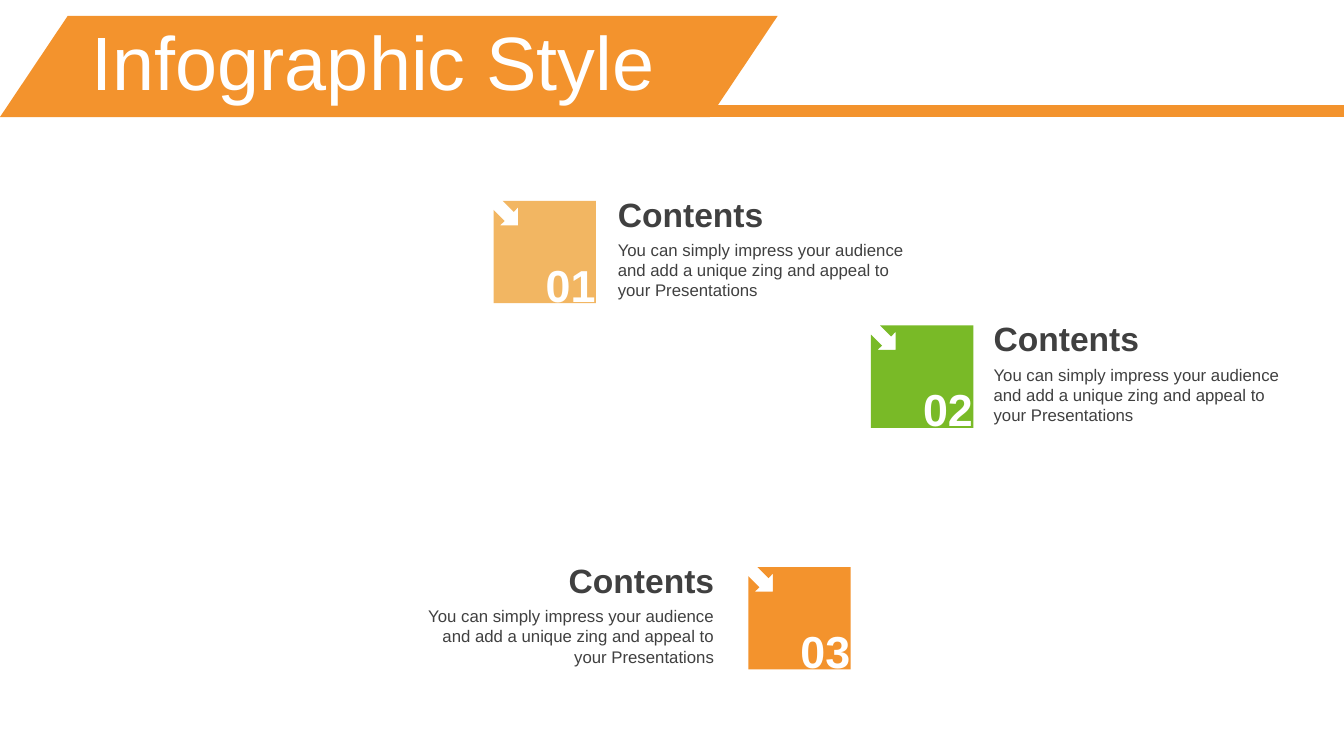
import pptx
import pptx.dml.color
import pptx.enum.shapes
import pptx.enum.text
import pptx.util

Cm = pptx.util.Cm
ALIGN = pptx.enum.text.PP_ALIGN
ANCHOR = pptx.enum.text.MSO_ANCHOR
SHAPES = pptx.enum.shapes.MSO_SHAPE

COLORS = {"orange": "F3932D", "sand": "F2B662", "green": "79BA27",
          "text": "404040", "white": "FFFFFF"}
FONT = "Arial"
TITLE = "Infographic Style"
HEADING = "Contents"
BODY = ("You can simply impress your audience and add a unique zing "
        "and appeal to your Presentations")

# number, colour, tile left, tile top, text left, text alignment (lengths in cm)
ITEMS = [
    ("01", "sand", 12.44, 5.06, 15.57, ALIGN.LEFT),
    ("02", "green", 21.95, 8.2, 25.04, ALIGN.LEFT),
    ("03", "orange", 18.86, 14.29, 10.39, ALIGN.RIGHT),
]
TILE = 2.58
TEXT_WIDTH = 7.86
# tile outline with an arrow cut into its top left corner
TILE_OUTLINE = [(0.23, 0), (TILE, 0), (TILE, TILE), (0, TILE), (0, 0.23),
                (0.28, 0.51), (0.16, 0.62), (0.62, 0.62), (0.62, 0.16), (0.51, 0.28)]
TEXT_INSETS = (0, 0.13, 0.25, 0.13)


def rgb(name):
    return pptx.dml.color.RGBColor.from_string(COLORS[name])


def paint(shape, color):
    shape.shadow.inherit = False
    shape.fill.solid()
    shape.fill.fore_color.rgb = rgb(color)
    shape.line.fill.background()


def write(shape, text, size, color, bold=False, align=ALIGN.LEFT, anchor=ANCHOR.MIDDLE):
    frame = shape.text_frame
    frame.text = text
    frame.word_wrap = True
    frame.auto_size = pptx.enum.text.MSO_AUTO_SIZE.NONE
    frame.vertical_anchor = anchor
    paragraph = frame.paragraphs[0]
    paragraph.alignment = align
    font = paragraph.runs[0].font
    font.name, font.size, font.bold = FONT, pptx.util.Pt(size), bold
    font.color.rgb = rgb(color)


def add_text(slide, box, insets, *args, **style):
    shape = slide.shapes.add_textbox(*map(Cm, box))
    frame = shape.text_frame
    (frame.margin_left, frame.margin_top,
     frame.margin_right, frame.margin_bottom) = map(Cm, insets)
    write(shape, *args, **style)


def add_banner(slide):
    bar = slide.shapes.add_shape(SHAPES.RECTANGLE, Cm(16.93), Cm(2.65), Cm(16.94), Cm(0.3))
    flag = slide.shapes.add_shape(SHAPES.PARALLELOGRAM, 0, Cm(0.4), Cm(19.6), Cm(2.55))
    flag.adjustments[0] = 0.67
    for shape in (bar, flag):
        paint(shape, "orange")


def add_title(slide):
    title = slide.shapes.title
    title.left, title.top, title.width, title.height = map(Cm, (2.06, 0.66, 31.09, 2.01))
    write(title, TITLE, 54, "white")
    title.text_frame.paragraphs[0].line_spacing = 0.9
    # bring the title in front of the banner
    slide.shapes.element.append(title.element)


def add_tile(slide, number, color, left, top):
    points = [(Cm(x), Cm(y)) for x, y in TILE_OUTLINE]
    builder = slide.shapes.build_freeform(*points[0])
    builder.add_line_segments(points[1:], close=True)
    paint(builder.convert_to_shape(Cm(left), Cm(top)), color)
    add_text(slide, (left + 0.03, top + 1.75, 2.54, 0.71), (0, 0, 0, 0),
             number, 32, "white", bold=True, align=ALIGN.RIGHT)


def add_caption(slide, left, tile_top, align):
    add_text(slide, (left, tile_top - 0.16, TEXT_WIDTH, 0.97), TEXT_INSETS,
             HEADING, 24, "text", bold=True, align=align)
    add_text(slide, (left, tile_top + 0.85, TEXT_WIDTH, 1.88), TEXT_INSETS,
             BODY, 12, "text", align=align, anchor=ANCHOR.TOP)


def main():
    presentation = pptx.Presentation()
    presentation.slide_width, presentation.slide_height = Cm(33.87), Cm(19.05)
    slide = presentation.slides.add_slide(presentation.slide_layouts[5])
    add_banner(slide)
    add_title(slide)
    for number, color, tile_left, tile_top, text_left, align in ITEMS:
        add_tile(slide, number, color, tile_left, tile_top)
        add_caption(slide, text_left, tile_top, align)
    presentation.save("out.pptx")


if __name__ == "__main__":
    main()
